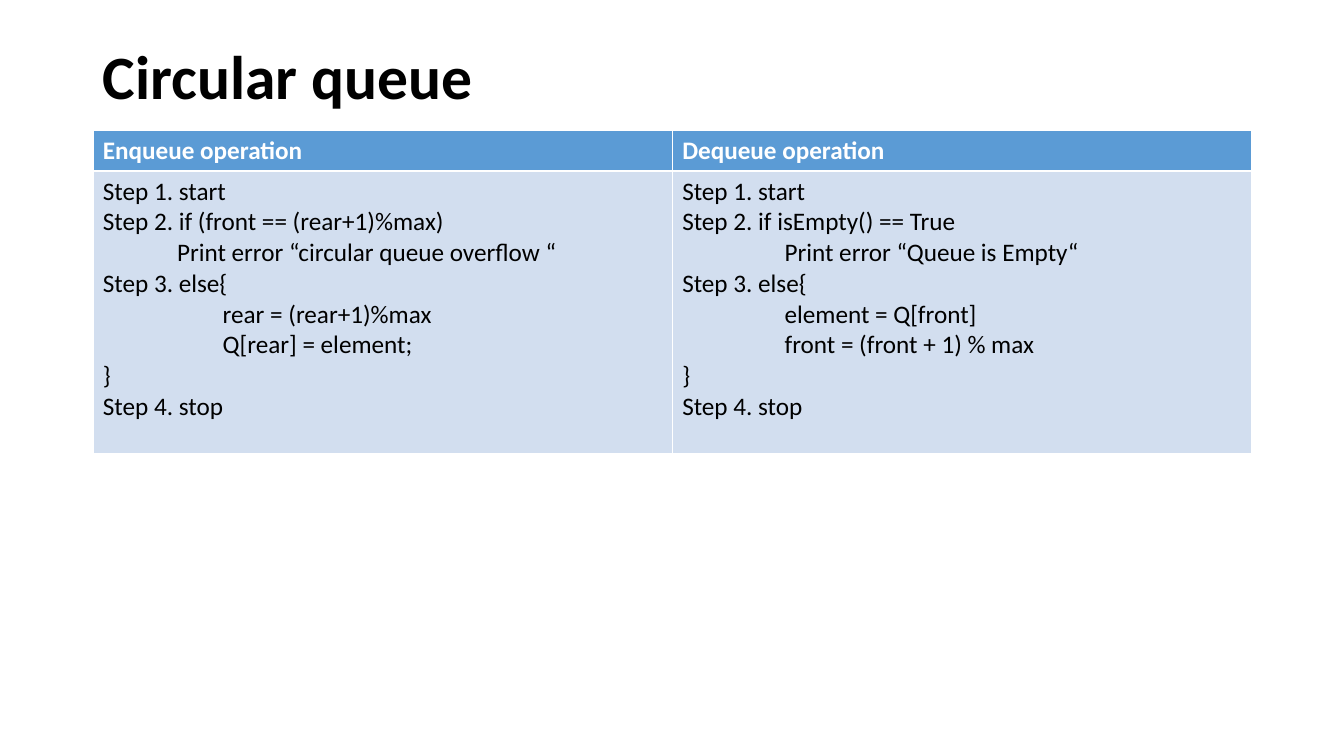
import dataclasses

import lxml.etree
import pptx
import pptx.dml.color
import pptx.enum.text
import pptx.oxml.ns
import pptx.util

Cm = pptx.util.Cm
Pt = pptx.util.Pt

COLORS = {"text": "000000", "white": "FFFFFF", "header": "5B9BD5", "body": "D2DEEF"}
LEFT, WIDTH = 2.34, 29.21
ROW_HEIGHTS = (1.02, 7.12)
THIN, THICK = 0.45, 1.47
TITLE_FORMAT = {"name": "Calibri", "size": Pt(44), "bold": True}
HEADER_FORMAT = {"name": "Calibri", "size": Pt(18), "bold": True}
STEP_FORMAT = {"name": "Calibri", "size": Pt(18), "bold": False}


@dataclasses.dataclass(frozen=True)
class Step:
    text: str
    indent: float = 0


@dataclasses.dataclass(frozen=True)
class Operation:
    heading: str
    steps: tuple[Step, ...]


OPERATIONS = (
    Operation("Enqueue operation", (
        Step("Step 1. start"),
        Step("Step 2. if (front == (rear+1)%max)"),
        Step("Print error “circular queue overflow “", 1.87),
        Step("Step 3. else{"),
        Step("rear = (rear+1)%max", 3.02),
        Step("Q[rear] = element;", 3.02),
        Step("}"),
        Step("Step 4. stop"),
    )),
    Operation("Dequeue operation", (
        Step("Step 1. start"),
        Step("Step 2. if isEmpty() == True"),
        Step("Print error “Queue is Empty“", 2.58),
        Step("Step 3. else{"),
        Step("element = Q[front]", 2.58),
        Step("front = (front + 1) % max", 2.58),
        Step("}"),
        Step("Step 4. stop"),
    )),
)


def rgb(color: str) -> pptx.dml.color.RGBColor:
    return pptx.dml.color.RGBColor.from_string(COLORS[color])


def write_lines(frame, lines: tuple[Step, ...], formats: dict, color: str) -> None:
    for number, line in enumerate(lines):
        paragraph = frame.add_paragraph() if number else frame.paragraphs[0]
        if line.indent:
            paragraph._p.get_or_add_pPr().set("marL", str(Cm(line.indent)))
        run = paragraph.add_run()
        run.text = line.text
        for attribute, value in formats.items():
            setattr(run.font, attribute, value)
        run.font.color.rgb = rgb(color)


def draw_borders(cell, top: float, bottom: float) -> None:
    properties = cell._tc.get_or_add_tcPr()
    qn = pptx.oxml.ns.qn
    for side, width in {"L": THIN, "R": THIN, "T": top, "B": bottom}.items():
        border = lxml.etree.SubElement(properties, qn(f"a:ln{side}"), w=str(Pt(width)))
        fill = lxml.etree.SubElement(border, qn("a:solidFill"))
        lxml.etree.SubElement(fill, qn("a:srgbClr"), val=COLORS["white"])


def fill_cell(cell, color: str) -> None:
    cell.fill.solid()
    cell.fill.fore_color.rgb = rgb(color)


def add_title(slide, text: str) -> None:
    title = slide.shapes.add_textbox(Cm(LEFT), Cm(1.02), Cm(WIDTH), Cm(1.96))
    frame = title.text_frame
    frame.word_wrap = True
    frame.vertical_anchor = pptx.enum.text.MSO_ANCHOR.MIDDLE
    write_lines(frame, (Step(text),), TITLE_FORMAT, "text")
    frame.paragraphs[0].line_spacing = 0.9


def add_operations(slide, operations: tuple[Operation, ...]) -> None:
    table = slide.shapes.add_table(
        len(ROW_HEIGHTS), len(operations),
        Cm(LEFT), Cm(3.29), Cm(WIDTH), Cm(sum(ROW_HEIGHTS)),
    ).table
    table.horz_banding = False
    for row, height in zip(table.rows, ROW_HEIGHTS):
        row.height = Cm(height)
    for column, operation in enumerate(operations):
        heading, steps = table.cell(0, column), table.cell(1, column)
        write_lines(heading.text_frame, (Step(operation.heading),), HEADER_FORMAT, "white")
        write_lines(steps.text_frame, operation.steps, STEP_FORMAT, "text")
        draw_borders(heading, THIN, THICK)
        draw_borders(steps, THICK, THIN)
        fill_cell(heading, "header")
        fill_cell(steps, "body")


def main() -> None:
    presentation = pptx.Presentation()
    presentation.slide_width = Cm(33.88)
    presentation.slide_height = Cm(19.05)
    slide = presentation.slides.add_slide(presentation.slide_layouts[6])
    add_title(slide, "Circular queue")
    add_operations(slide, OPERATIONS)
    presentation.save("out.pptx")


if __name__ == "__main__":
    main()
